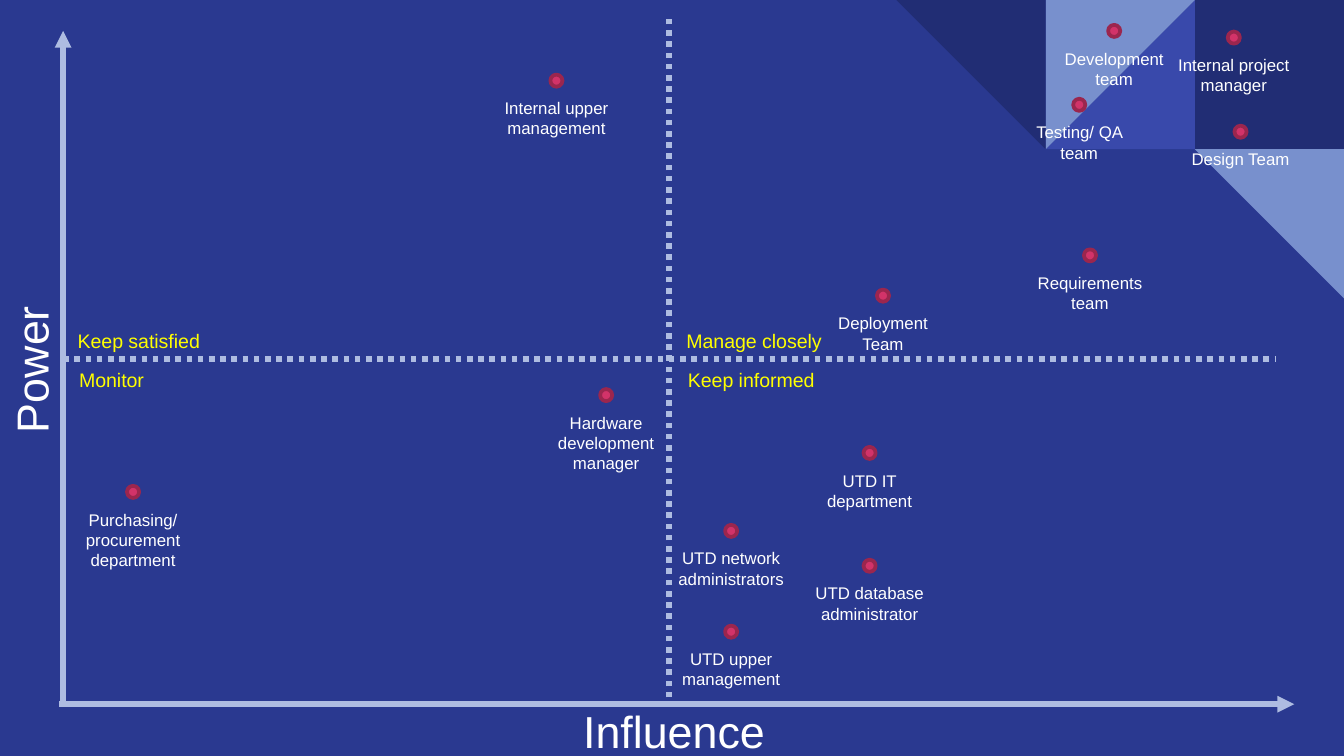
from lxml import etree
from pptx import Presentation
from pptx.dml.color import RGBColor
from pptx.enum.dml import MSO_LINE
from pptx.enum.shapes import MSO_CONNECTOR, MSO_SHAPE
from pptx.enum.text import MSO_AUTO_SIZE, PP_ALIGN
from pptx.oxml.ns import qn
from pptx.util import Inches, Pt

STRAIGHT = MSO_CONNECTOR.STRAIGHT
DOTTED = MSO_LINE.ROUND_DOT
RECTANGLE = MSO_SHAPE.RECTANGLE
TRIANGLE = MSO_SHAPE.RIGHT_TRIANGLE
OVAL = MSO_SHAPE.OVAL
FIT_SHAPE = MSO_AUTO_SIZE.SHAPE_TO_FIT_TEXT
LEFT, CENTER = PP_ALIGN.LEFT, PP_ALIGN.CENTER

BACKGROUND = RGBColor(0x2A, 0x39, 0x90)
NAVY = RGBColor(0x21, 0x2D, 0x74)
INDIGO = RGBColor(0x39, 0x49, 0xAB)
SKY = RGBColor(0x78, 0x90, 0xCD)
AXIS = RGBColor(0xAE, 0xBC, 0xE1)
WHITE = RGBColor(0xFF, 0xFF, 0xFF)
YELLOW = RGBColor(0xFF, 0xFF, 0x00)
PINK = RGBColor(0xD2, 0x33, 0x69)
CRIMSON = RGBColor(0x9B, 0x26, 0x4E)

PAGE_WIDTH = 10
PAGE_HEIGHT = PAGE_WIDTH * 9 / 16

TILE = 1.11
TILES = [
    (2, 0, RECTANGLE, 0, NAVY),
    (1, 0, TRIANGLE, 270, INDIGO),
    (1, 0, TRIANGLE, 90, SKY),
    (0, 0, TRIANGLE, 180, NAVY),
    (2, 1, TRIANGLE, 180, SKY),
]

QUADRANTS = [
    ("Keep satisfied", 0.01, 2.17, 1.23),
    ("Monitor", 0.02, 2.46, 1.02),
    ("Manage closely", 4.54, 2.17, 1.34),
    ("Keep informed", 4.55, 2.46, 1.59),
]

STAKEHOLDERS = [
    ("UTD upper management", 4.97, 4.47, 2),
    ("UTD IT department", 6.00, 3.14, 2),
    ("Purchasing/ procurement department", 0.52, 3.43, 3),
    ("Design Team", 8.76, 0.75, 1),
    ("Testing/ QA team", 7.56, 0.55, 2),
    ("Internal project manager", 8.71, 0.05, 2),
    ("Development team", 7.82, 0, 2),
    ("Deployment Team", 6.10, 1.97, 2),
    ("Hardware development manager", 4.04, 2.71, 3),
    ("Requirements team", 7.64, 1.67, 2),
    ("UTD network administrators", 4.97, 3.72, 2),
    ("UTD database administrator", 6.00, 3.98, 2),
    ("Internal upper management", 3.67, 0.37, 2),
]


def add_label(page, text, left, top, width, height, size, color, align=LEFT):
    """Add a one-paragraph text box and return it."""
    box = page.shapes.add_textbox(Inches(left), Inches(top), Inches(width), Inches(height))
    frame = box.text_frame
    frame.word_wrap = True
    frame.auto_size = FIT_SHAPE
    para = frame.paragraphs[0]
    para.text = text
    para.alignment = align
    para.font.name = "Arial"
    para.font.size = Pt(size)
    para.font.color.rgb = color
    return box


def add_line(page, start, end, dash=None, arrow=False):
    """Add a straight axis or divider line."""
    line = page.shapes.add_connector(STRAIGHT, *map(Inches, start + end))
    line.line.color.rgb = AXIS
    line.line.width = Pt(3)
    if dash:
        line.line.dash_style = dash
    properties = line._element.spPr
    if arrow:
        etree.SubElement(properties.find(qn("a:ln")), qn("a:tailEnd"), type="triangle")
    etree.SubElement(properties, qn("a:effectLst"))


def add_corner(page, left, top):
    """Add the geometric tiles of the page corner."""
    group = page.shapes.add_group_shape()
    for column, row, kind, rotation, color in TILES:
        tile = group.shapes.add_shape(
            kind, Inches(left + column * TILE), Inches(top + row * TILE),
            Inches(TILE), Inches(TILE))
        tile.rotation = rotation
        tile.shadow.inherit = False
        tile.fill.solid()
        tile.fill.fore_color.rgb = color
        tile.line.fill.background()


def add_axes(page, left, top, width, height):
    """Add the arrows, the dotted dividers and the axis titles."""
    bottom, middle, center = top + height, top + 2.44, left + 4.51
    add_line(page, (left, bottom), (left, top), arrow=True)
    add_line(page, (left - 0.03, bottom - 0.01), (left + width, bottom - 0.01), arrow=True)
    power = add_label(page, "Power", left - 0.91, top + 2.17, 1.34, 0.5, 24, WHITE)
    power.rotation = 270
    add_label(page, "Influence", left + 3.77, bottom - 0.06, 1.91, 0.5, 24, WHITE)
    add_line(page, (left, middle), (left + width - 0.14, middle), DOTTED)
    add_line(page, (center, bottom - 0.06), (center, top - 0.12), DOTTED)


def add_quadrant_names(page, left, top):
    """Add the advice for each quadrant next to the dividers."""
    for text, x, y, width in QUADRANTS:
        add_label(page, text, left + x, top + y, width, 0.28, 10.5, YELLOW)


def add_stakeholder(page, text, x, y, lines):
    """Add a dot centred on a point, with its name below."""
    size, width = 0.09, 1.1
    dot = page.shapes.add_shape(
        OVAL, Inches(x - size / 2), Inches(y - size / 2), Inches(size), Inches(size))
    dot.shadow.inherit = False
    dot.fill.solid()
    dot.fill.fore_color.rgb = PINK
    dot.line.color.rgb = CRIMSON
    dot.line.width = Pt(2)
    height = 0.1 + 0.15 * lines
    add_label(page, text, x - width / 2, y + 0.08, width, height, 9, WHITE, CENTER)


def add_map(page, left, top, width, height):
    """Add the power and influence map."""
    add_axes(page, left, top, width, height)
    add_quadrant_names(page, left, top)
    for text, x, y, lines in STAKEHOLDERS:
        add_stakeholder(page, text, left + x, top + y, lines)


def main():
    """Build and save the deck."""
    deck = Presentation()
    deck.slide_width, deck.slide_height = Inches(PAGE_WIDTH), Inches(PAGE_HEIGHT)
    page = deck.slides.add_slide(deck.slide_layouts[6])
    page.background.fill.solid()
    page.background.fill.fore_color.rgb = BACKGROUND
    add_corner(page, PAGE_WIDTH - 3 * TILE, 0)
    add_map(page, 0.47, 0.23, 9.16, 5.02)
    deck.save("out.pptx")


if __name__ == "__main__":
    main()
